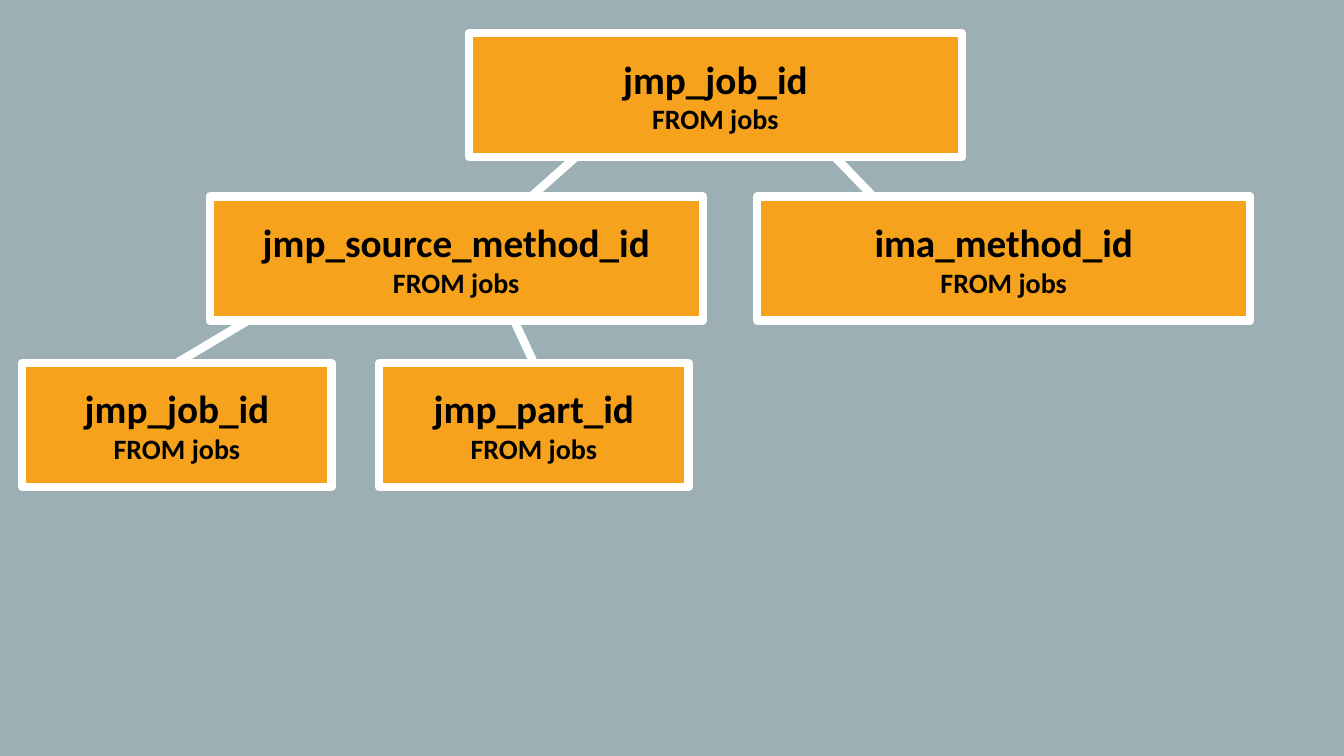
from lxml import etree
from pptx import Presentation, util as u
from pptx.dml.color import RGBColor
from pptx.enum import shapes, text
from pptx.oxml.ns import qn

WHITE, BLACK, AMBER, GREY = "FFFFFF", "000000", "F6A21D", "9BAFB5"
WIDE, SLIM, HIGH = 4.89, 3.07, 1.23
ROWS = (0.33, 1.95, 3.6)
TOP = 0  # connection site at the middle of the top side


def paint(part, color):
    part.solid()
    part.fore_color.rgb = RGBColor.from_string(color)


def edge(line):
    paint(line.fill, WHITE)
    line.width = u.Pt(6)


def node(slide, name, left, top, width):
    box = slide.shapes.add_shape(
        shapes.MSO_SHAPE.RECTANGLE,
        *map(u.Inches, (left, top, width, HIGH)))
    box.shadow.inherit = False
    paint(box.fill, AMBER)
    edge(box.line)
    frame = box.text_frame
    frame.word_wrap = True
    frame.vertical_anchor = text.MSO_ANCHOR.MIDDLE
    # Column name above its table
    for i, (words, size) in enumerate(((name, 28), ("FROM jobs", 20))):
        para = frame.add_paragraph() if i else frame.paragraphs[0]
        para.alignment = text.PP_ALIGN.CENTER
        run = para.add_run()
        run.text = words
        run.font.name = "Calibri"
        run.font.size = u.Pt(size)
        run.font.bold = True
        paint(run.font.fill, BLACK)
    return box


def branch(slide, start, back, child=None, end=(0, 0)):
    """Run from the top of start to the top of child, or to a free end."""
    line = slide.shapes.add_connector(
        shapes.MSO_CONNECTOR.STRAIGHT, 0, 0, *map(u.Inches, end))
    line.begin_connect(start, TOP)
    if child is not None:
        line.end_connect(child, TOP)
    edge(line.line)
    etree.SubElement(line.element.spPr, qn("a:effectLst"))
    # Keep the line behind every box
    back.element.addprevious(line.element)


def tree(slide):
    # Boxes, level by level
    root = node(slide, "jmp_job_id", 4.65, ROWS[0], WIDE)
    source = node(slide, "jmp_source_method_id", 2.08, ROWS[1], WIDE)
    part = node(slide, "jmp_part_id", 3.76, ROWS[2], SLIM)
    job = node(slide, "jmp_job_id", 0.22, ROWS[2], SLIM)
    node(slide, "ima_method_id", 7.51, ROWS[1], WIDE)
    # Branches
    for child in (part, job):
        branch(slide, source, root, child)
    for end in ((4.39, 2.73), (9.55, 2.87)):
        branch(slide, root, root, end=end)


def main():
    deck = Presentation()
    deck.slide_width, deck.slide_height = u.Inches(13.33), u.Inches(7.5)
    slide = deck.slides.add_slide(deck.slide_layouts[6])
    paint(slide.background.fill, GREY)
    tree(slide)
    deck.save("out.pptx")


if __name__ == "__main__":
    main()
